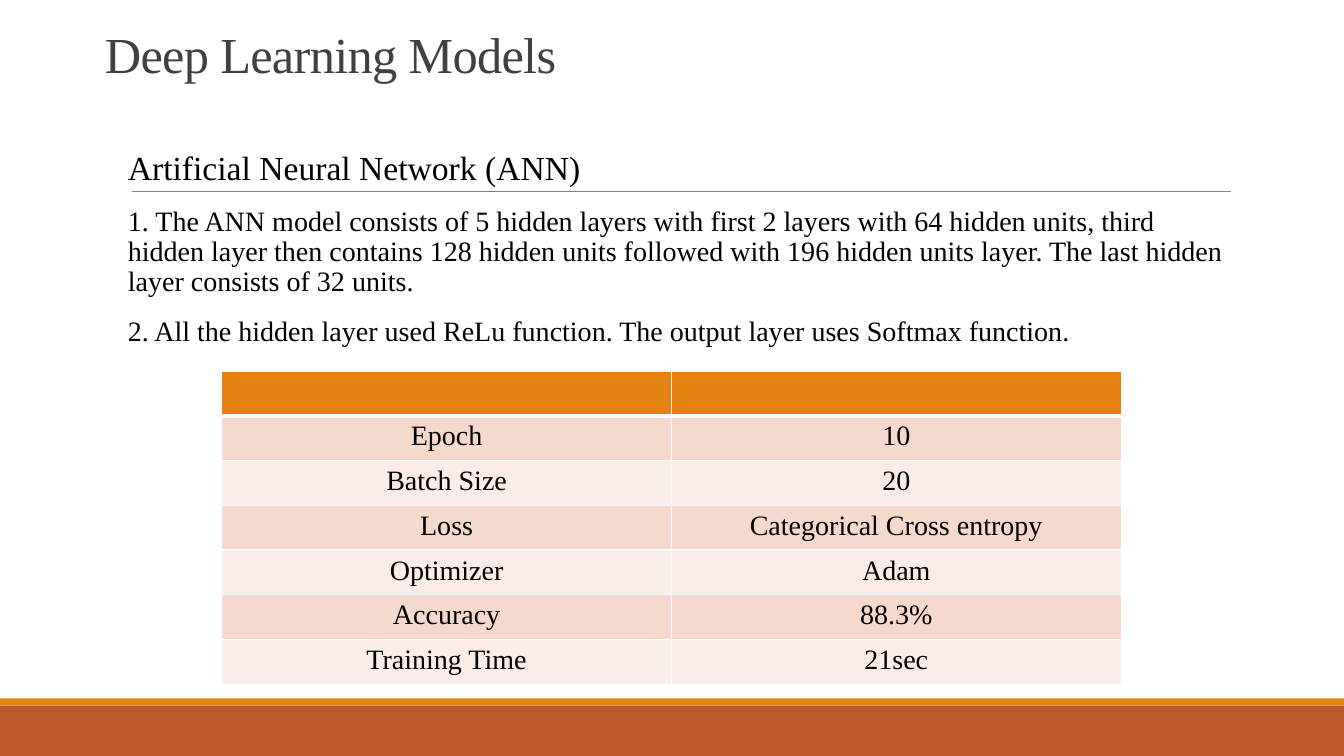
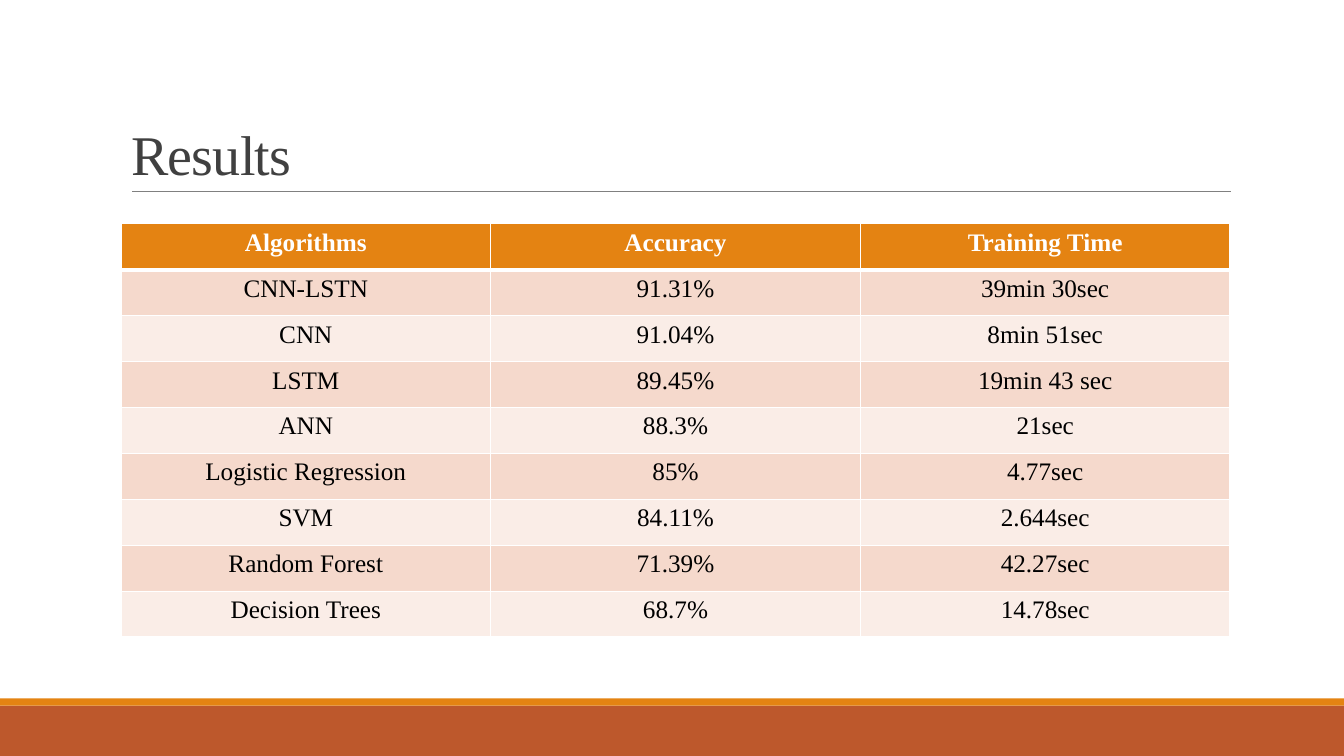
from lxml.etree import SubElement
from pptx import Presentation
from pptx.dml.color import RGBColor
from pptx.enum.shapes import MSO_CONNECTOR as Connector, MSO_SHAPE as Preset
from pptx.enum.text import MSO_ANCHOR as Anchor, MSO_AUTO_SIZE as AutoSize, PP_ALIGN as Align
from pptx.oxml.ns import qn
from pptx.util import Inches, Pt

FONT = "Times New Roman"
ORANGE, RUST, GRAY, DARK = "E48312", "BD582C", "808080", "404040"
BLACK, WHITE = "000000", "FFFFFF"
ROW_FILLS = ["FAEDE7", "F5D9CC"]


def color(value):
    return RGBColor.from_string(value)


def format_runs(paragraph, size, text_color, bold=False):
    for run in paragraph.runs:
        run.font.name = FONT
        run.font.size = Pt(size)
        run.font.bold = bold
        run.font.color.rgb = color(text_color)


presentation = Presentation()
presentation.slide_width = Inches(13.33)
presentation.slide_height = Inches(7.5)
layout = presentation.slide_layouts[5]

pages = [
    {
        "title": "Deep Learning Models",
        "title_box": (0.94, 0.26, 4.88, 0.62),
        "title_size": 36,
        "body": [
            ("Artificial Neural Network (ANN)", 24),
            ("1. The ANN model consists of 5 hidden layers with first 2 layers with 64 hidden units, "
             "third hidden layer then contains 128 hidden units followed with 196 hidden units layer. "
             "The last hidden layer consists of 32 units.", 20),
            ("2. All the hidden layer used ReLu function. "
             "The output layer uses Softmax function.", 20),
        ],
        "table_box": (2.2, 3.68, 8.92, 3.11),
        "table_size": 20,
        "rows": [
            ("", ""),
            ("Epoch", "10"),
            ("Batch Size", "20"),
            ("Loss", "Categorical Cross entropy"),
            ("Optimizer", "Adam"),
            ("Accuracy", "88.3%"),
            ("Training Time", "21sec"),
        ],
    },
    {
        "title": "Results",
        "title_box": (1.2, 0.31, 11, 1.59),
        "title_size": 40,
        "body": [],
        "table_box": (1.2, 2.22, 11, 4.1),
        "table_size": 18,
        "rows": [
            ("Algorithms", "Accuracy", "Training Time"),
            ("CNN-LSTN", "91.31%", "39min 30sec"),
            ("CNN", "91.04%", "8min 51sec"),
            ("LSTM", "89.45%", "19min 43 sec"),
            ("ANN", "88.3%", "21sec"),
            ("Logistic Regression", "85%", "4.77sec"),
            ("SVM", "84.11%", "2.644sec"),
            ("Random Forest", "71.39%", "42.27sec"),
            ("Decision Trees", "68.7%", "14.78sec"),
        ],
    },
]

slides = [presentation.slides.add_slide(layout) for page in pages]

decorations = []
for top, height, fill in [(7, 0.5, RUST), (6.93, 0.07, ORANGE)]:
    band = slides[0].shapes.add_shape(
        Preset.RECTANGLE, 0, Inches(top), presentation.slide_width, Inches(height))
    band.shadow.inherit = False
    band.fill.solid()
    band.fill.fore_color.rgb = color(fill)
    band.line.fill.background()
    decorations.append(band)

rule = slides[0].shapes.add_connector(
    Connector.STRAIGHT, Inches(1.31), Inches(1.9), Inches(12.21), Inches(1.9))
rule.line.color.rgb = color(GRAY)
rule.line.width = Pt(0.5)
SubElement(rule.element.spPr, qn("a:effectLst"))
decorations.append(rule)

for number, shape in enumerate(decorations, start=20):
    shape.element.xpath("./*/p:cNvPr")[0].set("id", str(number))
    layout.shapes.element.append(shape.element)

for slide, page in zip(slides, pages):
    title = slide.shapes.title
    title.left, title.top, title.width, title.height = map(Inches, page["title_box"])
    title.text_frame.text = page["title"]
    title.text_frame.auto_size = AutoSize.NONE
    title.text_frame.vertical_anchor = Anchor.BOTTOM
    paragraph = title.text_frame.paragraphs[0]
    paragraph.alignment = Align.LEFT
    paragraph.line_spacing = 0.85
    format_runs(paragraph, page["title_size"], DARK)
    for run in paragraph.runs:
        run.font._element.set("spc", "-50")

    if page["body"]:
        body = slide.shapes.add_textbox(Inches(1.17), Inches(1.45), Inches(11.07), Inches(5.37))
        body.text_frame.word_wrap = True
        body.text_frame.margin_right = 0
        body.text_frame.text = "\n".join(text for text, size in page["body"])
        for paragraph, (text, size) in zip(body.text_frame.paragraphs, page["body"]):
            paragraph.line_spacing = 0.9
            paragraph.space_before = Pt(12)
            paragraph.space_after = Pt(2)
            format_runs(paragraph, size, BLACK)

    rows = page["rows"]
    left, top, width, height = map(Inches, page["table_box"])
    table = slide.shapes.add_table(len(rows), len(rows[0]), left, top, width, height).table
    for row_index, row in enumerate(rows):
        header = row_index == 0
        for column_index, text in enumerate(row):
            cell = table.cell(row_index, column_index)
            properties = cell._tc.get_or_add_tcPr()
            for side in ["lnL", "lnR", "lnT", "lnB"]:
                thick = (header and side == "lnB") or (row_index == 1 and side == "lnT")
                border = SubElement(properties, qn(f"a:{side}"), w=str(Pt(3 if thick else 1)))
                border_fill = SubElement(border, qn("a:solidFill"))
                SubElement(border_fill, qn("a:srgbClr"), val=WHITE)
            cell.fill.solid()
            cell.fill.fore_color.rgb = color(ORANGE if header else ROW_FILLS[row_index % 2])
            cell.text_frame.text = text
            paragraph = cell.text_frame.paragraphs[0]
            paragraph.alignment = Align.CENTER
            format_runs(paragraph, page["table_size"], WHITE if header else BLACK, header)

presentation.save("out.pptx")
